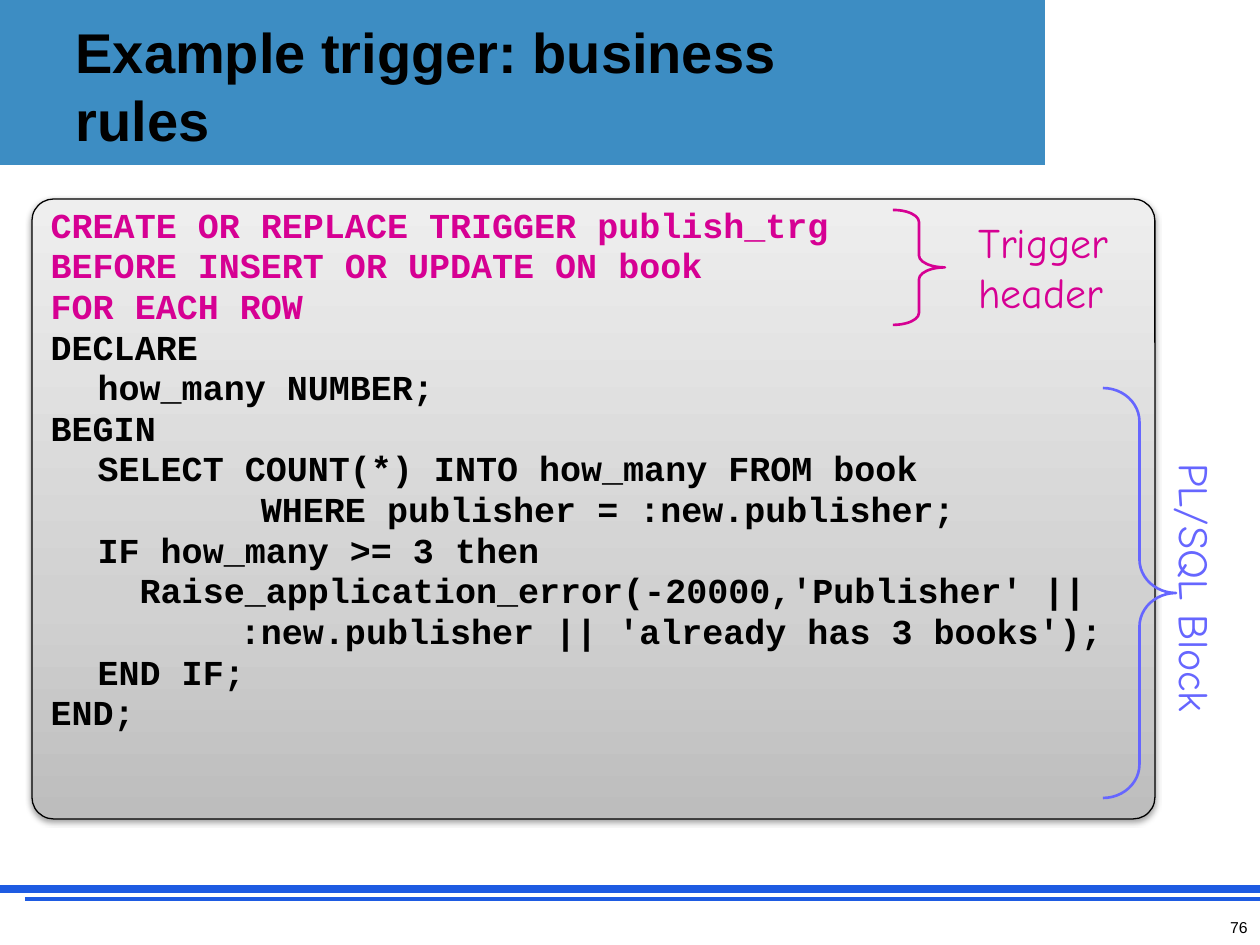
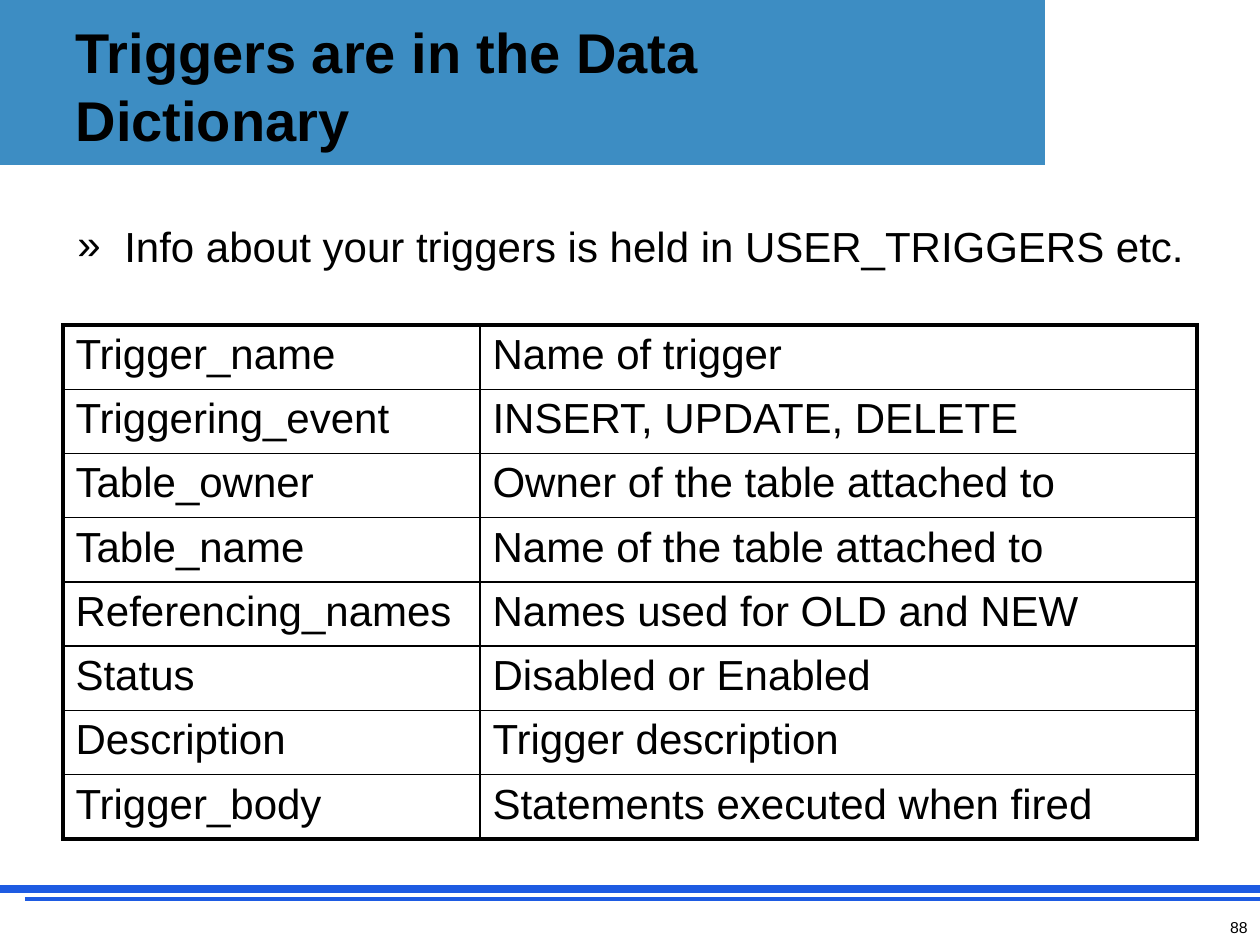
from copy import deepcopy
from dataclasses import dataclass

from lxml.etree import SubElement
from pptx import Presentation
from pptx.dml.color import RGBColor
from pptx.enum.shapes import MSO_CONNECTOR, MSO_SHAPE
from pptx.enum.text import MSO_ANCHOR, MSO_AUTO_SIZE, PP_ALIGN
from pptx.oxml.ns import qn
from pptx.util import Emu, Pt

PX_PER_INCH = 126
SLIDE_WIDTH, SLIDE_HEIGHT = 1260, 945
HANGING_INDENT = 47


def px(length):
    return Emu(round(length * 914400 / PX_PER_INCH))


@dataclass(frozen=True)
class Theme:
    band: str = "3D8DC3"
    rule: str = "1E5BE2"
    white: str = "FFFFFF"
    black: str = "000000"
    header: str = "D60093"
    block: str = "6666FF"
    panel: tuple = ((0, "BDBDBD"), (0.35, "D1D1D1"), (1, "EEEEEE"))
    sans: str = "Arial"
    code: str = "Courier New"
    hand: str = "Comic Neue"
    title_size: int = 32
    body_size: int = 24
    code_size: int = 20
    number_size: int = 9


class Deck:
    """Holds the theme, the presentation and the slide being drawn."""

    def __init__(self, theme):
        self.theme = theme
        self.presentation = Presentation()
        self.presentation.slide_width = px(SLIDE_WIDTH)
        self.presentation.slide_height = px(SLIDE_HEIGHT)
        self.slide = None

    def add_slide(self, title, number):
        theme = self.theme
        layout = self.presentation.slide_layouts[5]
        self.slide = self.presentation.slides.add_slide(layout)
        # Band, white corner and footer rules
        self.shape(MSO_SHAPE.RECTANGLE, (0, 0, SLIDE_WIDTH, 165), fill=theme.band)
        self.shape(MSO_SHAPE.RECTANGLE, (1047, 0, 213, 175),
                   fill=theme.white, line=theme.white, width=2)
        self.rule(0, 889, 4.5)
        self.rule(25, 899, 2.25)
        self.title(title)
        self.text(str(number), (966, 912, 294, 34), theme.sans,
                  theme.number_size, align=PP_ALIGN.RIGHT)

    def title(self, text):
        shape = self.slide.shapes.title
        self.slide.shapes._spTree.append(shape._element)  # above the band
        self.place(shape, (63, 17, 864, 136))
        frame = shape.text_frame
        frame.auto_size = MSO_AUTO_SIZE.NONE
        frame.vertical_anchor = MSO_ANCHOR.MIDDLE
        frame.text = text
        paragraph = frame.paragraphs[0]
        paragraph.alignment = PP_ALIGN.LEFT
        self.font(paragraph, self.theme.sans, self.theme.title_size, bold=True)

    def place(self, shape, box):
        shape.left, shape.top, shape.width, shape.height = map(px, box)

    def font(self, paragraph, name, size, color=None, bold=False):
        font = paragraph.font
        font.name, font.size, font.bold = name, Pt(size), bold
        font.color.rgb = RGBColor.from_string(color or self.theme.black)

    def shape(self, kind, box, fill=None, line=None, width=1.0, adjustments=()):
        shape = self.slide.shapes.add_shape(kind, *map(px, box))
        shape.shadow.inherit = False
        for index, value in enumerate(adjustments):
            shape.adjustments[index] = value
        if fill:
            shape.fill.solid()
            shape.fill.fore_color.rgb = RGBColor.from_string(fill)
        else:
            shape.fill.background()
        if line:
            shape.line.color.rgb = RGBColor.from_string(line)
            shape.line.width = Pt(width)
        else:
            shape.line.fill.background()
        return shape

    def rule(self, left, top, width):
        line = self.slide.shapes.add_connector(
            MSO_CONNECTOR.STRAIGHT, px(left), px(top), px(SLIDE_WIDTH), px(top))
        line.line.color.rgb = RGBColor.from_string(self.theme.rule)
        line.line.width = Pt(width)
        SubElement(line._element.spPr, qn("a:effectLst"))

    def brace(self, box, color, curve):
        self.shape(MSO_SHAPE.RIGHT_BRACE, box, line=color, width=1.5,
                   adjustments=(curve, 0.5))

    def text(self, text, box, name, size, color=None, align=PP_ALIGN.LEFT, rotation=0):
        shape = self.slide.shapes.add_textbox(*map(px, box))
        shape.rotation = rotation
        shape.text_frame.word_wrap = True
        paragraph = shape.text_frame.paragraphs[0]
        paragraph.text = text
        paragraph.alignment = align
        self.font(paragraph, name, size, color)
        return paragraph

    def hang(self, paragraph):
        properties = paragraph._p.get_or_add_pPr()
        properties.set("marL", str(px(HANGING_INDENT)))
        properties.set("indent", str(-px(HANGING_INDENT)))
        paragraph.line_spacing = 0.8
        return properties

    def bullet(self, text, box):
        paragraph = self.text(text, box, self.theme.sans, self.theme.body_size)
        properties = self.hang(paragraph)
        run_defaults = properties.find(qn("a:defRPr"))
        for tag, attributes in (("a:buFont", {"typeface": self.theme.sans}),
                                ("a:buChar", {"char": "»"})):
            run_defaults.addprevious(properties.makeelement(qn(tag), attributes))

    def code_panel(self, lines, header_count, box):
        theme = self.theme
        panel = self.shape(MSO_SHAPE.ROUNDED_RECTANGLE, box, fill=theme.white,
                           line=theme.black, width=0.75, adjustments=(0.035,))
        self.shade(panel)
        frame = panel.text_frame
        frame.word_wrap = True
        frame.vertical_anchor = MSO_ANCHOR.TOP
        frame.margin_top = px(6)
        frame.text = "\n".join(lines)
        for index, paragraph in enumerate(frame.paragraphs):
            paragraph.alignment = PP_ALIGN.LEFT
            self.hang(paragraph)
            if index:
                paragraph.space_before = Pt(4)
            color = theme.header if index < header_count else theme.black
            self.font(paragraph, theme.code, theme.code_size, color, bold=True)

    def shade(self, shape):
        # Three-stop gradient, darkest at the bottom
        shape.fill.gradient()
        shape.fill.gradient_angle = 90
        properties = shape._element.spPr
        stops = properties.find(".//" + qn("a:gsLst"))
        stops.insert(1, deepcopy(stops[0]))
        for stop, (position, color) in zip(shape.fill.gradient_stops, self.theme.panel):
            stop.position = position
            stop.color.rgb = RGBColor.from_string(color)
        # Soft shadow below
        shadow = SubElement(properties.find(qn("a:effectLst")), qn("a:outerShdw"),
                            blurRad="40000", dist="20000", dir="5400000", rotWithShape="0")
        color = SubElement(shadow, qn("a:srgbClr"), val=self.theme.black)
        SubElement(color, qn("a:alpha"), val="38000")

    def table(self, rows, box, column_widths):
        last_row, last_column = len(rows) - 1, len(column_widths) - 1
        table = self.slide.shapes.add_table(
            len(rows), len(column_widths), *map(px, box)).table
        table.first_row = table.horz_banding = False
        for column, width in zip(table.columns, column_widths):
            column.width = px(width)
        for r, row in enumerate(rows):
            for c, text in enumerate(row):
                cell = table.cell(r, c)
                cell.text = text
                self.font(cell.text_frame.paragraphs[0],
                          self.theme.sans, self.theme.body_size)
                outer_sides = {"L": c == 0, "R": c == last_column,
                               "T": r == 0, "B": r == last_row}
                for side, outer in outer_sides.items():
                    self.border(cell, side, 2.25 if outer else 1)
                cell.fill.background()

    def border(self, cell, side, width):
        line = SubElement(cell._tc.get_or_add_tcPr(), qn(f"a:ln{side}"), w=str(Pt(width)))
        fill = SubElement(line, qn("a:solidFill"))
        SubElement(fill, qn("a:srgbClr"), val=self.theme.black)


TRIGGER_CODE = [
    "CREATE OR REPLACE TRIGGER publish_trg",
    "BEFORE INSERT OR UPDATE ON book",
    "FOR EACH ROW",
    "DECLARE",
    "\thow_many NUMBER;",
    "BEGIN",
    "\tSELECT COUNT(*) INTO how_many FROM book",
    "          WHERE publisher = :new.publisher;",
    "\tIF how_many >= 3 then",
    "\t  Raise_application_error(-20000,'Publisher' ||",
    "         :new.publisher || 'already has 3 books');",
    "\tEND IF;",
    "END;",
]

DICTIONARY_COLUMNS = [
    ("Trigger_name", "Name of trigger"),
    ("Triggering_event", "INSERT, UPDATE, DELETE"),
    ("Table_owner", "Owner of the table attached to"),
    ("Table_name", "Name of the table attached to"),
    ("Referencing_names", "Names used for OLD and NEW"),
    ("Status", "Disabled or Enabled"),
    ("Description", "Trigger description"),
    ("Trigger_body", "Statements executed when fired"),
]


def business_rules_slide(deck):
    theme = deck.theme
    deck.add_slide("Example trigger: business rules", 76)
    deck.code_panel(TRIGGER_CODE, 3, (32, 199, 1123, 620))
    deck.brace((893, 210, 52, 115), theme.header, 0.23)
    deck.brace((1103, 388, 73, 410), theme.block, 0.46)
    deck.text("Trigger\vheader", (966, 210, 187, 113),
              theme.hand, theme.body_size, theme.header)
    deck.text("PL/SQL Block", (1047, 568, 297, 63),
              theme.hand, theme.body_size, theme.block, rotation=90)


def data_dictionary_slide(deck):
    deck.add_slide("Triggers are in the Data Dictionary", 88)
    deck.bullet("Info about your triggers is held in USER_TRIGGERS etc.",
                (65, 224, 1144, 42))
    deck.table(DICTIONARY_COLUMNS, (63, 325, 1134, 514), (417, 717))


def main():
    deck = Deck(Theme())
    business_rules_slide(deck)
    data_dictionary_slide(deck)
    deck.presentation.save("out.pptx")


if __name__ == "__main__":
    main()
